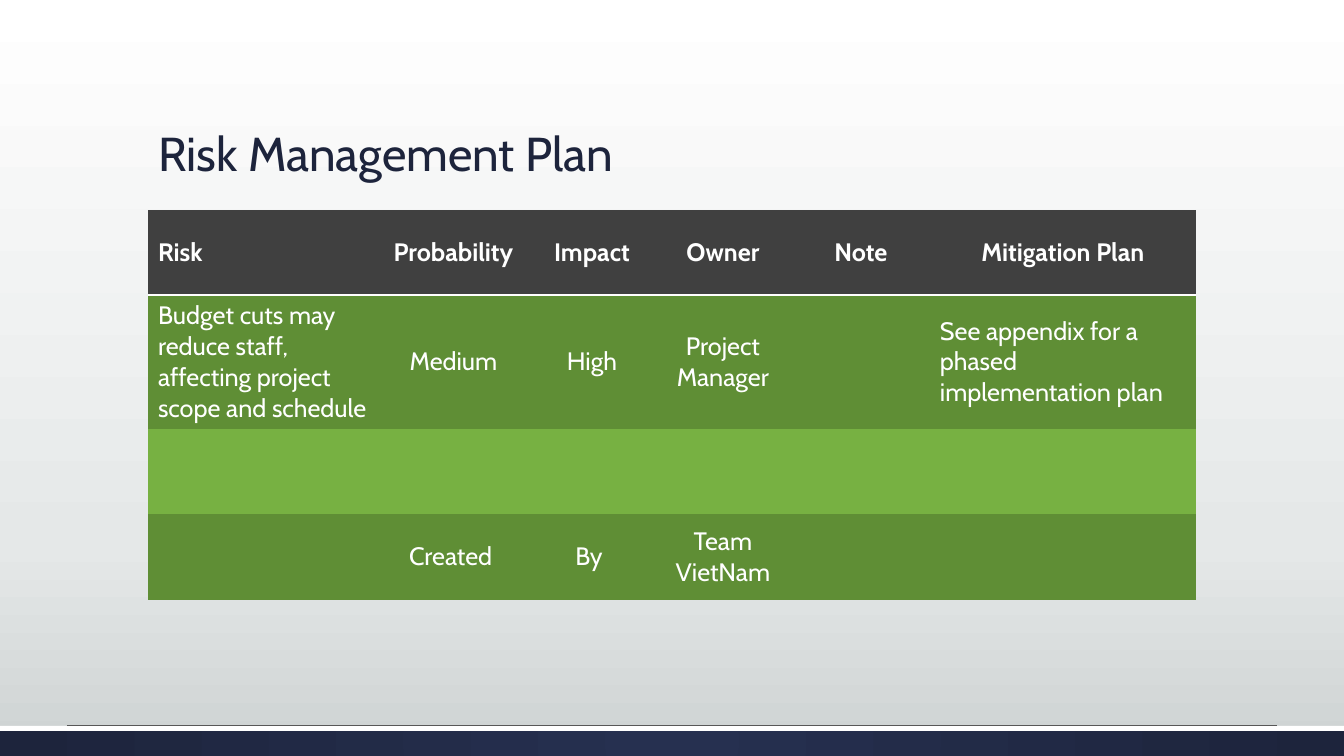
from lxml import etree
from pptx import Presentation
from pptx import util as u
from pptx.dml.color import RGBColor
from pptx.enum import shapes, text
from pptx.oxml.ns import qn

NAVY = RGBColor(0x1D, 0x24, 0x3C)
INDIGO = RGBColor(0x26, 0x30, 0x50)
WHITE = RGBColor(0xFF, 0xFF, 0xFF)
MIST = RGBColor(0xE5, 0xE8, 0xE8)
SILVER = RGBColor(0xCD, 0xD2, 0xD2)
CHARCOAL = RGBColor(0x40, 0x40, 0x40)
DARK_GREEN = RGBColor(0x5F, 0x8E, 0x35)
LIGHT_GREEN = RGBColor(0x77, 0xB1, 0x42)

PLAIN_TABLE = "{2D5ABB26-0587-4C30-8999-92F81FD0307C}"
COLUMNS = [229, 153, 124, 138, 138, 266]
ROWS = [85, 134, 85, 86]
ROW_FILLS = [CHARCOAL, DARK_GREEN, LIGHT_GREEN, DARK_GREEN]
LEFT_ALIGNED = {(0, 0), (1, 0), (1, 5)}
RISKS = [
    ["Risk", "Probability", "Impact", "Owner", "Note", "Mitigation Plan"],
    ["Budget cuts may reduce staff, affecting project scope and schedule",
     "Medium", "High", "Project Manager", "",
     "See appendix for a phased implementation plan"],
    [""] * 6,
    ["", "Created ", "By ", "Team VietNam", "", ""],
]


def px(length):
    return u.Emu(round(length * 914400 / 100.8))


class SlideBuilder:
    """Holds the deck style and the current slide, and draws its elements."""

    font = "Cabin"

    def __init__(self, width, height):
        self.deck = Presentation()
        self.deck.slide_width, self.deck.slide_height = px(width), px(height)
        self.page = self.deck.slides.add_slide(self.deck.slide_layouts[5])

    def gradient(self, fill, element, stops, circle=False):
        fill.gradient()
        if not circle:
            fill.gradient_angle = 270
        grad = next(element.iter(qn("a:gradFill")))
        stop_list = grad.find(qn("a:gsLst"))
        for old in list(stop_list):
            stop_list.remove(old)
        for position, color in stops:
            stop = etree.SubElement(stop_list, qn("a:gs"), pos=str(position * 1000))
            etree.SubElement(stop, qn("a:srgbClr"), val=str(color))
        if circle:
            grad.remove(grad.find(qn("a:lin")))
            route = etree.SubElement(grad, qn("a:path"), path="circle")
            etree.SubElement(route, qn("a:fillToRect"), l="50000", t="50000", r="50000", b="50000")

    def background(self, stops):
        self.gradient(self.page.background.fill, self.page.element, stops)

    def bar(self, left, top, width, height):
        box = self.page.shapes.add_shape(
            shapes.MSO_SHAPE.RECTANGLE, px(left), px(top), px(width), px(height))
        box.shadow.inherit = False
        box.line.fill.background()
        return box

    def solid_bar(self, color, *place):
        box = self.bar(*place)
        box.fill.solid()
        box.fill.fore_color.rgb = color

    def glow_bar(self, stops, *place):
        box = self.bar(*place)
        self.gradient(box.fill, box.element, stops, circle=True)

    def rule(self, left, right, top, color):
        line = self.page.shapes.add_connector(
            shapes.MSO_CONNECTOR.STRAIGHT, px(left), px(top), px(right), px(top))
        line.line.color.rgb = color
        line.line.width = u.Pt(0.5)
        etree.SubElement(line.element.spPr, qn("a:effectLst"))

    def style(self, para, size, color, bold=False):
        for span in para.runs:
            span.font.name = self.font
            span.font.size = u.Pt(size)
            span.font.color.rgb = color
            span.font.bold = bold

    def title(self, words, left, top, width, height):
        box = self.page.shapes.title
        box.left, box.top, box.width, box.height = map(px, (left, top, width, height))
        frame = box.text_frame
        frame.text = words
        frame.word_wrap = True
        frame.auto_size = text.MSO_AUTO_SIZE.NONE
        frame.vertical_anchor = text.MSO_ANCHOR.BOTTOM
        para = frame.paragraphs[0]
        para.alignment = text.PP_ALIGN.LEFT
        para.line_spacing = 0.9
        self.style(para, 34, NAVY)

    def bottom_border(self, cell, color, width):
        border = etree.Element(qn("a:lnB"), w=str(u.Pt(width)))
        fill = etree.SubElement(border, qn("a:solidFill"))
        etree.SubElement(fill, qn("a:srgbClr"), val=str(color))
        cell._tc.get_or_add_tcPr().insert(0, border)

    def cell(self, cell, words, fill, alignment, header):
        cell.fill.solid()
        cell.fill.fore_color.rgb = fill
        cell.vertical_anchor = text.MSO_ANCHOR.MIDDLE
        cell.text_frame.text = words
        para = cell.text_frame.paragraphs[0]
        para.alignment = alignment
        self.style(para, 18, WHITE, header)
        if header:
            self.bottom_border(cell, WHITE, 2)

    def table(self, left, top):
        frame = self.page.shapes.add_table(
            len(ROWS), len(COLUMNS), px(left), px(top), px(sum(COLUMNS)), px(sum(ROWS)))
        grid = frame.table
        frame.element.find(f".//{qn('a:tableStyleId')}").text = PLAIN_TABLE
        grid.horz_banding = False
        for column, width in zip(grid.columns, COLUMNS):
            column.width = px(width)
        for r, (row, height) in enumerate(zip(grid.rows, ROWS)):
            row.height = px(height)
            for c, words in enumerate(RISKS[r]):
                side = text.PP_ALIGN.LEFT if (r, c) in LEFT_ALIGNED else text.PP_ALIGN.CENTER
                self.cell(grid.cell(r, c), words, ROW_FILLS[r], side, r == 0)


def main():
    slide = SlideBuilder(1344, 756)
    slide.background([(0, WHITE), (72, MIST), (100, SILVER)])
    slide.glow_bar([(0, INDIGO), (100, NAVY)], 0, 726, 1344, 30)
    slide.rule(67, 1277, 725, CHARCOAL)
    slide.solid_bar(WHITE, 0, 726, 1344, 5)
    slide.title("Risk Management Plan", 148, 51, 1048, 136)
    slide.table(148, 210)
    slide.deck.save("out.pptx")


if __name__ == "__main__":
    main()
